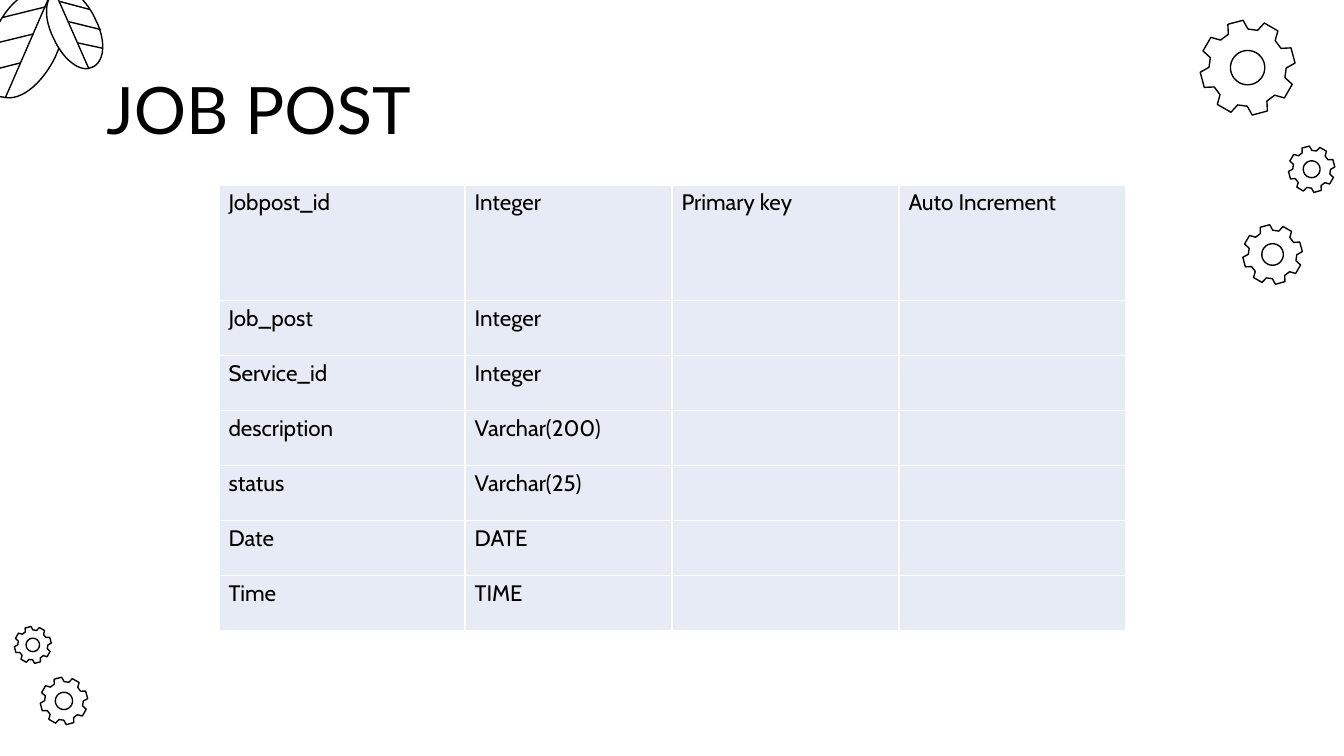
from dataclasses import dataclass
from math import cos, radians, sin

from lxml import etree
from pptx import Presentation
from pptx.dml.color import RGBColor
from pptx.enum.shapes import MSO_CONNECTOR
from pptx.enum.text import MSO_ANCHOR, PP_ALIGN
from pptx.oxml.ns import qn
from pptx.util import Cm, Pt

STRAIGHT = MSO_CONNECTOR.STRAIGHT
MIDDLE, TOP = MSO_ANCHOR.MIDDLE, MSO_ANCHOR.TOP
LEFT, JUSTIFY = PP_ALIGN.LEFT, PP_ALIGN.JUSTIFY


@dataclass(frozen=True)
class Theme:
    ink: str = "000000"
    paper: str = "FFFFFF"
    cell: str = "E7EBF5"
    title_font: str = "Lato"
    body_font: str = "Cabin"
    title_size: float = 35
    body_size: float = 12
    outline: float = 0.75
    grid: float = 1


THEME = Theme()

# Centre x, centre y and diameter, in cm
GEARS = [
    (24.05, 4.81, 1.13),
    (24.79, 3.2, 0.88),
    (23.58, 1.28, 1.8),
    (1.21, 13.25, 0.9),
    (0.62, 12.19, 0.7),
]
TEETH = 8
# Angle in degrees and share of the outer radius, for one tooth
TOOTH = [(15, 0.81), (20.5, 1), (39.5, 1), (45.5, 0.81)]
HUB_SHARE = 0.36

# Each leaf: starting point, Bezier segments and veins, in cm
LEAVES = [
    (
        (0.18, 1.85),
        [
            [(0.1, 1.85), (0.05, 1.83), (0, 1.83)],
            [(-0.3, 1.68), (-0.33, 1.12), (-0.08, 0.56)],
            [(0.13, 0.1), (0.48, -0.2), (0.79, -0.2)],
            [(0.84, -0.2), (0.89, -0.18), (0.94, -0.15)],
            [(1.24, 0), (1.3, 0.53), (1.04, 1.09)],
            [(0.81, 1.55), (0.46, 1.85), (0.18, 1.85)],
        ],
        [
            ((0.86, 0.13), (0.05, 0.33)),
            ((0.64, 0.64), (-0.18, 0.84)),
            ((0.38, 1.19), (-0.25, 1.35)),
            ((0.1, 1.85), (0.97, -0.15)),
        ],
    ),
    (
        (1.63, 1.3),
        [
            [(1.68, 1.3), (1.73, 1.27), (1.75, 1.27)],
            [(1.98, 1.17), (2.01, 0.76), (1.8, 0.36)],
            [(1.65, 0.03), (1.4, -0.2), (1.19, -0.2)],
            [(1.14, -0.2), (1.12, -0.18), (1.07, -0.18)],
            [(0.84, -0.05), (0.81, 0.33), (1.02, 0.74)],
            [(1.17, 1.07), (1.42, 1.3), (1.63, 1.3)],
        ],
        [
            ((1.14, 0.03), (1.7, 0.18)),
            ((1.3, 0.41), (1.91, 0.56)),
            ((1.47, 0.81), (1.93, 0.91)),
            ((1.68, 1.3), (1.04, -0.15)),
        ],
    ),
]

FIELDS = [
    ("Jobpost_id", "Integer", "Primary key", "Auto Increment"),
    ("Job_post", "Integer", "", ""),
    ("Service_id", "Integer", "", ""),
    ("description", "Varchar(200)", "", ""),
    ("status", "Varchar(25)", "", ""),
    ("Date", "DATE", "", ""),
    ("Time", "TIME", "", ""),
]
COLUMN_WIDTHS = [4.65, 3.91, 4.29, 4.29]
ROW_HEIGHTS = [2.18] + [1.04] * (len(FIELDS) - 1)


def rgb(color):
    return RGBColor.from_string(color)


def write(frame, text, *, font, size, color=THEME.ink, align=LEFT,
          anchor=TOP, spacing=1.0, side=0):
    frame.word_wrap = True
    frame.vertical_anchor = anchor
    frame.margin_left = frame.margin_right = Cm(side)
    frame.margin_top = frame.margin_bottom = 0
    paragraph = frame.paragraphs[0]
    paragraph.text = text
    paragraph.alignment = align
    paragraph.line_spacing = spacing
    paragraph.font.name = font
    paragraph.font.size = Pt(size)
    paragraph.font.color.rgb = rgb(color)


def draw_outline(slide, contours, fill=None):
    contours = [[(Cm(x), Cm(y)) for x, y in points] for points in contours]
    builder = slide.shapes.build_freeform(*contours[0][0])
    for index, points in enumerate(contours):
        if index:
            builder.move_to(*points[0])
        builder.add_line_segments(points[1:], close=True)
    outline = builder.convert_to_shape()
    outline.shadow.inherit = False
    outline.line.color.rgb = rgb(THEME.ink)
    outline.line.width = Pt(THEME.outline)
    if fill:
        outline.fill.solid()
        outline.fill.fore_color.rgb = rgb(fill)
    else:
        outline.fill.background()


def draw_vein(slide, start, end):
    vein = slide.shapes.add_connector(STRAIGHT, *map(Cm, start + end))
    vein.line.color.rgb = rgb(THEME.ink)
    vein.line.width = Pt(THEME.outline)
    etree.SubElement(vein._element.spPr, qn("a:effectLst"))


def draw_gear(slide, x, y, diameter):
    def polar(angle, share):
        reach = diameter / 2 * share
        return x + reach * cos(radians(angle)), y + reach * sin(radians(angle))

    rim = [polar(angle + tooth * 360 / TEETH, share)
           for tooth in range(TEETH) for angle, share in TOOTH]
    hub = [polar(angle, HUB_SHARE) for angle in range(0, 360, 6)]
    draw_outline(slide, [hub, rim])


def trace_curve(start, segments, steps=12):
    points = [start]
    for segment in segments:
        controls = [points[-1], *segment]
        for step in range(1, steps + 1):
            t = step / steps
            weights = ((1 - t) ** 3, 3 * t * (1 - t) ** 2, 3 * t * t * (1 - t), t ** 3)
            points.append(tuple(
                sum(w * control[axis] for w, control in zip(weights, controls))
                for axis in (0, 1)))
    return points


def draw_leaf(slide, start, segments, veins):
    draw_outline(slide, [trace_curve(start, segments)], fill=THEME.paper)
    for vein in veins:
        draw_vein(slide, *vein)


def style_cell(cell):
    properties = cell._tc.get_or_add_tcPr()
    for side in ("lnL", "lnR", "lnT", "lnB"):
        border = etree.SubElement(properties, qn(f"a:{side}"), w=str(Pt(THEME.grid)))
        paint = etree.SubElement(border, qn("a:solidFill"))
        etree.SubElement(paint, qn("a:srgbClr"), val=THEME.paper)
    cell.fill.solid()
    cell.fill.fore_color.rgb = rgb(THEME.cell)


def add_field_table(slide):
    fields = slide.shapes.add_table(
        len(FIELDS), len(COLUMN_WIDTHS), Cm(4.14), Cm(3.5),
        Cm(sum(COLUMN_WIDTHS)), Cm(sum(ROW_HEIGHTS))).table
    fields.first_row = fields.horz_banding = False
    for column, width in zip(fields.columns, COLUMN_WIDTHS):
        column.width = Cm(width)
    for row, height, texts in zip(fields.rows, ROW_HEIGHTS, FIELDS):
        row.height = Cm(height)
        for index, (cell, text) in enumerate(zip(row.cells, texts)):
            style_cell(cell)
            cell.margin_left = cell.margin_right = Cm(0.18)
            cell.margin_top = cell.margin_bottom = 0
            write(cell.text_frame, text, font=THEME.body_font, size=THEME.body_size,
                  align=LEFT if index == 3 else JUSTIFY, spacing=1.15, side=0.18)


def main():
    deck = Presentation()
    deck.slide_width, deck.slide_height = Cm(25.4), Cm(14.29)
    slide = deck.slides.add_slide(deck.slide_layouts[6])

    # Corner decoration
    for gear in GEARS:
        draw_gear(slide, *gear)
    for leaf in LEAVES:
        draw_leaf(slide, *leaf)

    # Heading
    heading = slide.shapes.add_textbox(Cm(2.01), Cm(1.24), Cm(21.41), Cm(1.6))
    write(heading.text_frame, "JOB POST", font=THEME.title_font,
          size=THEME.title_size, anchor=MIDDLE)

    # Field definitions
    add_field_table(slide)
    deck.save("out.pptx")


if __name__ == "__main__":
    main()
